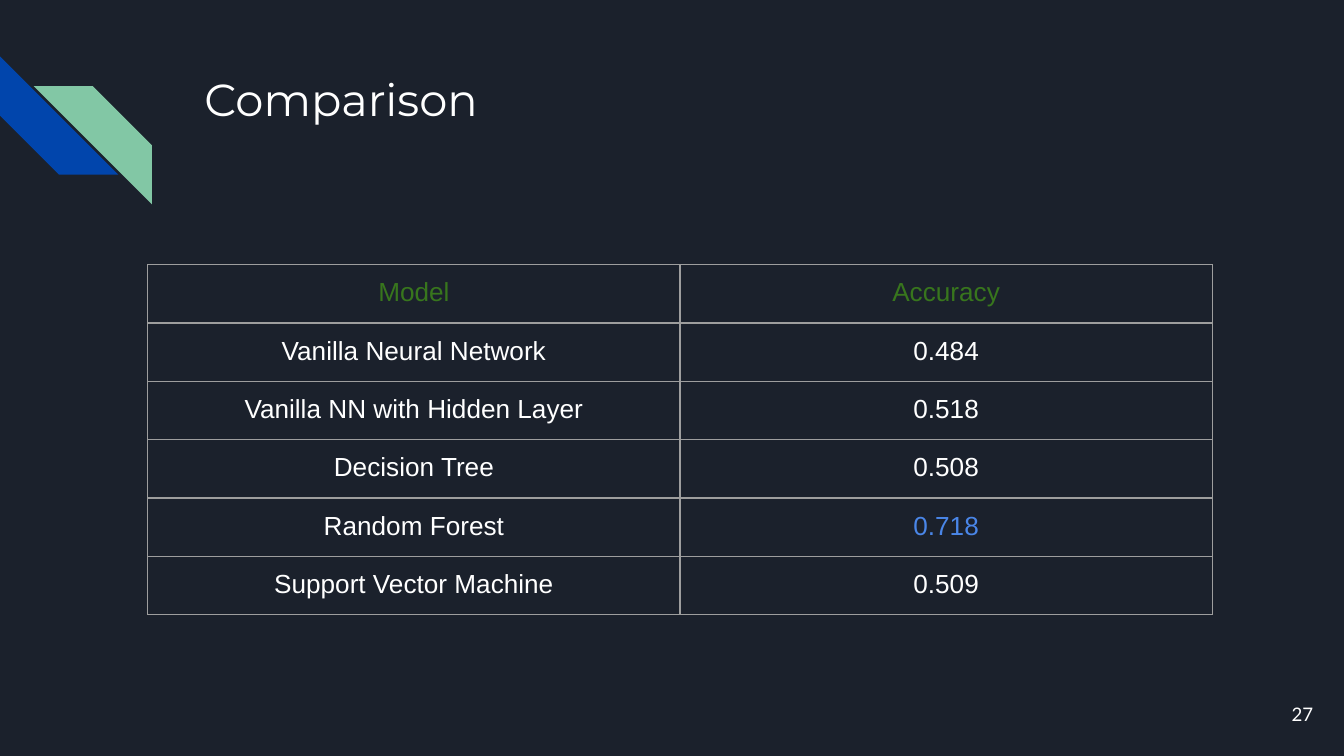
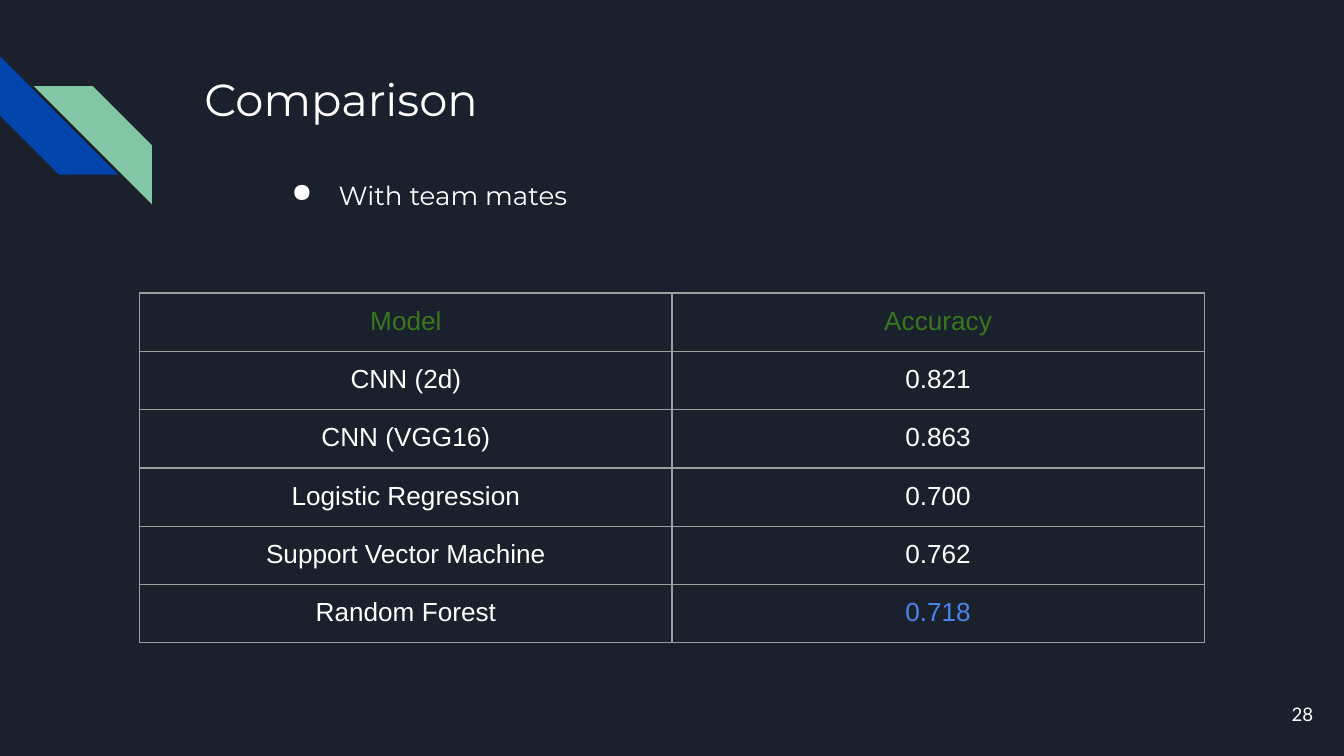
from lxml.etree import SubElement
from pptx import Presentation
from pptx.dml.color import RGBColor
from pptx.enum.shapes import MSO_SHAPE as Preset
from pptx.enum.text import MSO_ANCHOR as Anchor, MSO_AUTO_SIZE as AutoSize, PP_ALIGN as Align
from pptx.oxml import parse_xml
from pptx.oxml.ns import nsdecls, qn
from pptx.util import Inches, Pt

WIDTH = Inches(10)
HEIGHT = WIDTH * 9 // 16
UNIT = WIDTH // 100

NAVY = RGBColor(0x1B, 0x21, 0x2C)
BLUE = RGBColor(0x01, 0x45, 0xAC)
MINT = RGBColor(0x82, 0xC7, 0xA5)
WHITE = RGBColor(0xFF, 0xFF, 0xFF)
GREEN = RGBColor(0x38, 0x76, 0x1D)
SKY = RGBColor(0x4A, 0x86, 0xE8)
GREY = RGBColor(0x9E, 0x9E, 0x9E)

HEADING = ("Model", "Accuracy")
BEST = "0.718"
COMPARISONS = [
    (27, None, (11, 19.7), [
        ("Vanilla Neural Network", "0.484"),
        ("Vanilla NN with Hidden Layer", "0.518"),
        ("Decision Tree", "0.508"),
        ("Random Forest", BEST),
        ("Support Vector Machine", "0.509"),
    ]),
    (28, "With team mates", (10.4, 21.8), [
        ("CNN (2d)", "0.821"),
        ("CNN (VGG16)", "0.863"),
        ("Logistic Regression", "0.700"),
        ("Support Vector Machine", "0.762"),
        ("Random Forest", BEST),
    ]),
]


def grid(*cells):
    """Turn grid columns and rows, a hundred columns to the width, into lengths."""
    return [round(cell * UNIT) for cell in cells]


def style(paragraph, face, size, color, align=Align.LEFT):
    """Align a paragraph and format its runs."""
    paragraph.alignment = align
    for run in paragraph.runs:
        run.font.name = face
        run.font.size = Pt(size)
        run.font.color.rgb = color


def pad(holder):
    """Give a text frame or table cell one grid unit of margin on every side."""
    holder.margin_left = holder.margin_right = UNIT
    holder.margin_top = holder.margin_bottom = UNIT


def add_stripe(slide, col, row, color):
    """Add a diagonal stripe of the corner band."""
    stripe = slide.shapes.add_shape(Preset.DIAGONAL_STRIPE, *grid(col, row, 8.8, 8.8))
    stripe.adjustments[0] = 0.5
    stripe.fill.solid()
    stripe.fill.fore_color.rgb = color
    stripe.line.fill.background()
    stripe.shadow.inherit = False
    return stripe


def decorate_layout(layout, slide):
    """Give the layout its background and corner band, built on a slide and moved."""
    layout.background.fill.solid()
    layout.background.fill.fore_color.rgb = NAVY
    for footer in list(layout.placeholders)[1:]:
        layout.shapes.element.remove(footer.element)
    lower = add_stripe(slide, 0, 4.2, BLUE)
    lower.rotation = 270
    upper = add_stripe(slide, 2.5, 6.4, MINT)
    upper.element.spPr.get_or_add_xfrm().set("flipH", "1")
    for stripe in (lower, upper):
        layout.shapes.element.append(stripe.element)


def add_bullet(frame, text):
    """Append an indented bullet two lines below the heading."""
    bullet = frame.add_paragraph()
    bullet.text = text
    bullet.space_before = Pt(29)
    style(bullet, "Montserrat", 14, WHITE)
    props = bullet.element.get_or_add_pPr() if hasattr(bullet, "element") else bullet._p.get_or_add_pPr()
    props.set("marL", str(Inches(1)))
    props.set("indent", str(-Inches(0.35)))
    color = SubElement(SubElement(props, qn("a:buClr")), qn("a:srgbClr"))
    color.set("val", str(WHITE))
    SubElement(props, qn("a:buChar")).set("char", "●")


def fill_title(slide, text, remark):
    """Place the title and add the remark, if there is one, as a bullet."""
    title = slide.shapes.title
    title.left, title.top, title.width, title.height = grid(14.2, 4.3, 77, 10)
    frame = title.text_frame
    frame.text = text
    frame.auto_size = AutoSize.NONE
    frame.vertical_anchor = Anchor.TOP
    pad(frame)
    style(frame.paragraphs[0], "Montserrat", 24, WHITE)
    if remark:
        add_bullet(frame, remark)


def add_page_number(slide, number):
    """Add the page number in the lower right corner."""
    frame = slide.shapes.add_textbox(*grid(92.7, 51, 6, 4.3)).text_frame
    frame.text = str(number)
    frame.word_wrap = True
    frame.vertical_anchor = Anchor.MIDDLE
    pad(frame)
    style(frame.paragraphs[0], "Lato", 10, WHITE, Align.RIGHT)


def outline(cell):
    """Draw a thin grey border on the four sides of a cell."""
    props = cell._tc.get_or_add_tcPr()
    for place, side in enumerate(("lnL", "lnR", "lnT", "lnB")):
        props.insert(place, parse_xml(
            f'<a:{side} {nsdecls("a")} w="{Pt(0.75)}"><a:solidFill>'
            f'<a:srgbClr val="{GREY}"/></a:solidFill></a:{side}>'))


def add_scores(slide, corner, scores):
    """Add the table of models and accuracies with the best score picked out."""
    rows = [HEADING, *scores]
    table = slide.shapes.add_table(
        len(rows), len(HEADING), *grid(*corner, 79.2, 4.2 * len(rows))).table
    table.first_row = table.horz_banding = False
    for r, row in enumerate(rows):
        for c, text in enumerate(row):
            cell = table.cell(r, c)
            cell.text = text
            cell.fill.background()
            pad(cell)
            outline(cell)
            color = GREEN if r == 0 else SKY if text == BEST else WHITE
            style(cell.text_frame.paragraphs[0], "Arial", 14, color, Align.CENTER)


def main():
    """Build the comparison slides."""
    deck = Presentation()
    deck.slide_width, deck.slide_height = WIDTH, HEIGHT
    layout = deck.slide_layouts[5]
    for index, (number, remark, corner, scores) in enumerate(COMPARISONS):
        slide = deck.slides.add_slide(layout)
        if index == 0:
            decorate_layout(layout, slide)
        fill_title(slide, "Comparison", remark)
        add_page_number(slide, number)
        add_scores(slide, corner, scores)
    deck.save("out.pptx")


if __name__ == "__main__":
    main()
